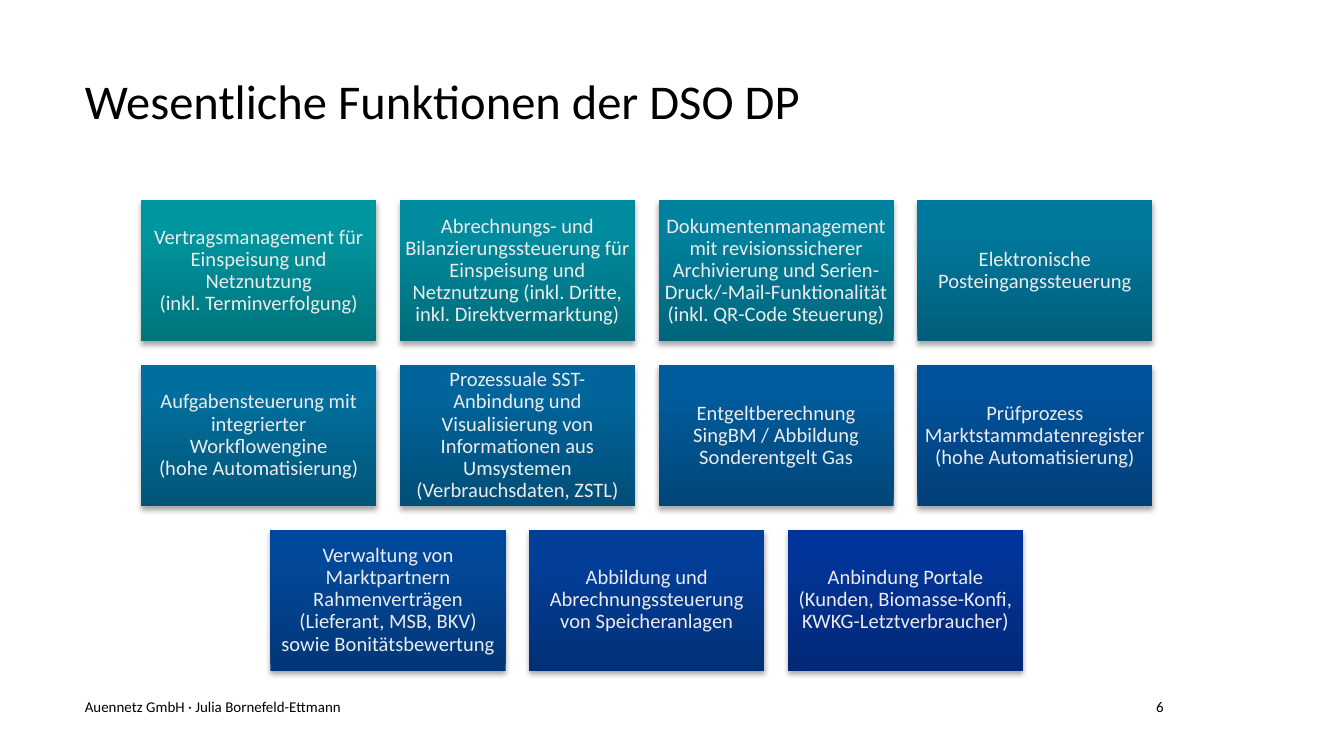
from dataclasses import dataclass
from lxml.etree import fromstring
from pptx import Presentation
from pptx.dml.color import RGBColor
from pptx.enum.shapes import MSO_SHAPE
from pptx.enum.text import MSO_ANCHOR, MSO_AUTO_SIZE, PP_ALIGN
from pptx.oxml.ns import nsdecls, qn
from pptx.util import Pt


@dataclass(frozen=True)
class Theme:
    """Fonts, type sizes and colours of the deck."""
    font: str = "Calibri"
    head: int = 26
    body: int = 11
    foot: int = 8
    ink: str = "000000"
    pale: str = "ECEBEB"
    first: tuple = ("00747B", "0096A0", "0097A1")
    last: tuple = ("022876", "023499", "00349C")
    stops: tuple = (0, 80, 100)


def blend(start, end, part):
    """Return the colour that lies at part between start and end."""
    pairs = zip(RGBColor.from_string(start), RGBColor.from_string(end))
    return str(RGBColor(*(round(a + (b - a) * part) for a, b in pairs)))


def write(frame, text, *, font, size, color, align=PP_ALIGN.LEFT,
          anchor=MSO_ANCHOR.MIDDLE, inset=0, leading=1.0):
    """Fill a text frame with one formatted paragraph."""
    frame.word_wrap = True
    frame.auto_size = MSO_AUTO_SIZE.NONE
    frame.vertical_anchor = anchor
    frame.margin_left = frame.margin_right = Pt(inset)
    frame.margin_top = frame.margin_bottom = Pt(inset)
    para = frame.paragraphs[0]
    para.text = text
    para.alignment = align
    para.line_spacing = leading
    for run in para.runs:
        run.font.name = font
        run.font.size = Pt(size)
        run.font.color.rgb = RGBColor.from_string(color)


class Deck:
    """Holds the theme and the current slide."""

    def __init__(self, theme):
        self.theme = theme
        self.show = Presentation()
        self.show.slide_width, self.show.slide_height = Pt(720), Pt(405)
        self.slide = self.show.slides.add_slide(self.show.slide_layouts[5])

    def title(self, text, *box):
        """Place and fill the title."""
        shape = self.slide.shapes.title
        shape.left, shape.top, shape.width, shape.height = map(Pt, box)
        write(shape.text_frame, text, font=self.theme.font, size=self.theme.head,
              color=self.theme.ink, anchor=MSO_ANCHOR.TOP, leading=0.9)

    def note(self, text, *box, align=PP_ALIGN.LEFT):
        """Add a small line of text at the foot."""
        shape = self.slide.shapes.add_textbox(*map(Pt, box))
        write(shape.text_frame, text, font=self.theme.font, size=self.theme.foot,
              color=self.theme.ink, align=align)

    def card(self, text, *box, part=0, inset=3.3):
        """Add a shaded card whose tone depends on part."""
        shape = self.slide.shapes.add_shape(MSO_SHAPE.RECTANGLE, *map(Pt, box))
        shape.line.fill.background()
        shape.shadow.inherit = False
        self.shade(shape, part)
        write(shape.text_frame, text, font=self.theme.font, size=self.theme.body,
              color=self.theme.pale, align=PP_ALIGN.CENTER, inset=inset, leading=0.9)

    def shade(self, shape, part):
        """Give a shape its upward gradient and soft shadow."""
        theme = self.theme
        stops = "".join(
            f'<a:gs pos="{stop * 1000}"><a:srgbClr val="{blend(start, end, part)}"/></a:gs>'
            for stop, start, end in zip(theme.stops, theme.first, theme.last))
        fill = fromstring(f'<a:gradFill {nsdecls("a")} rotWithShape="1"><a:gsLst>{stops}'
                          '</a:gsLst><a:lin ang="16200000" scaled="0"/></a:gradFill>')
        glow = fromstring(
            f'<a:outerShdw {nsdecls("a")} blurRad="{Pt(3.1)}" dist="{Pt(1.8)}" dir="5400000" '
            f'rotWithShape="0"><a:srgbClr val="{theme.ink}"><a:alpha val="35000"/>'
            '</a:srgbClr></a:outerShdw>')
        props = shape.element.spPr
        props.find(qn("a:prstGeom")).addnext(fill)
        props.find(qn("a:effectLst")).append(glow)

    def grid(self, cards, left, top, wide, high, gap, cols):
        """Lay out cards in rows and centre a short last row."""
        for index, (text, style) in enumerate(cards):
            row, col = divmod(index, cols)
            spare = cols - min(cols, len(cards) - row * cols)
            self.card(text, left + (col + spare / 2) * (wide + gap),
                      top + row * (high + gap), wide, high,
                      part=index / (len(cards) - 1), **style)


CARDS = [
    ("Vertragsmanagement für Einspeisung und Netznutzung\v(inkl. Terminverfolgung)", {}),
    ("Abrechnungs- und Bilanzierungssteuerung für Einspeisung und Netznutzung "
     "(inkl. Dritte, inkl. Direktvermarktung)", {"inset": 0}),
    ("Dokumentenmanagement mit revisionssicherer Archivierung und "
     "Serien-Druck/-Mail-Funktionalität (inkl. QR-Code Steuerung)", {}),
    ("Elektronische Posteingangssteuerung", {}),
    ("Aufgabensteuerung mit integrierter Workflowengine\v(hohe Automatisierung)", {}),
    ("Prozessuale SST-Anbindung und Visualisierung von Informationen aus "
     "Umsystemen (Verbrauchsdaten, ZSTL)", {}),
    ("Entgeltberechnung SingBM / Abbildung Sonderentgelt Gas", {}),
    ("Prüfprozess Marktstammdatenregister (hohe Automatisierung)", {}),
    ("Verwaltung von Marktpartnern Rahmenverträgen (Lieferant, MSB, BKV) "
     "sowie Bonitätsbewertung", {}),
    ("Abbildung und Abrechnungssteuerung\vvon Speicheranlagen", {}),
    ("Anbindung Portale\v(Kunden, Biomasse-Konfi, KWKG-Letztverbraucher)", {}),
]


def main():
    deck = Deck(Theme())
    deck.title("Wesentliche Funktionen der DSO DP", 45.4, 41.8, 538.6, 28)
    deck.grid(CARDS, left=75.6, top=107.3, wide=126, high=75.6, gap=12.6, cols=4)
    deck.note("Auennetz GmbH · Julia Bornefeld-Ettmann", 45.4, 373.7, 510.5, 9.4)
    deck.note("6", 577.4, 373.7, 46.1, 9.4, align=PP_ALIGN.RIGHT)
    deck.show.save("out.pptx")


if __name__ == "__main__":
    main()
